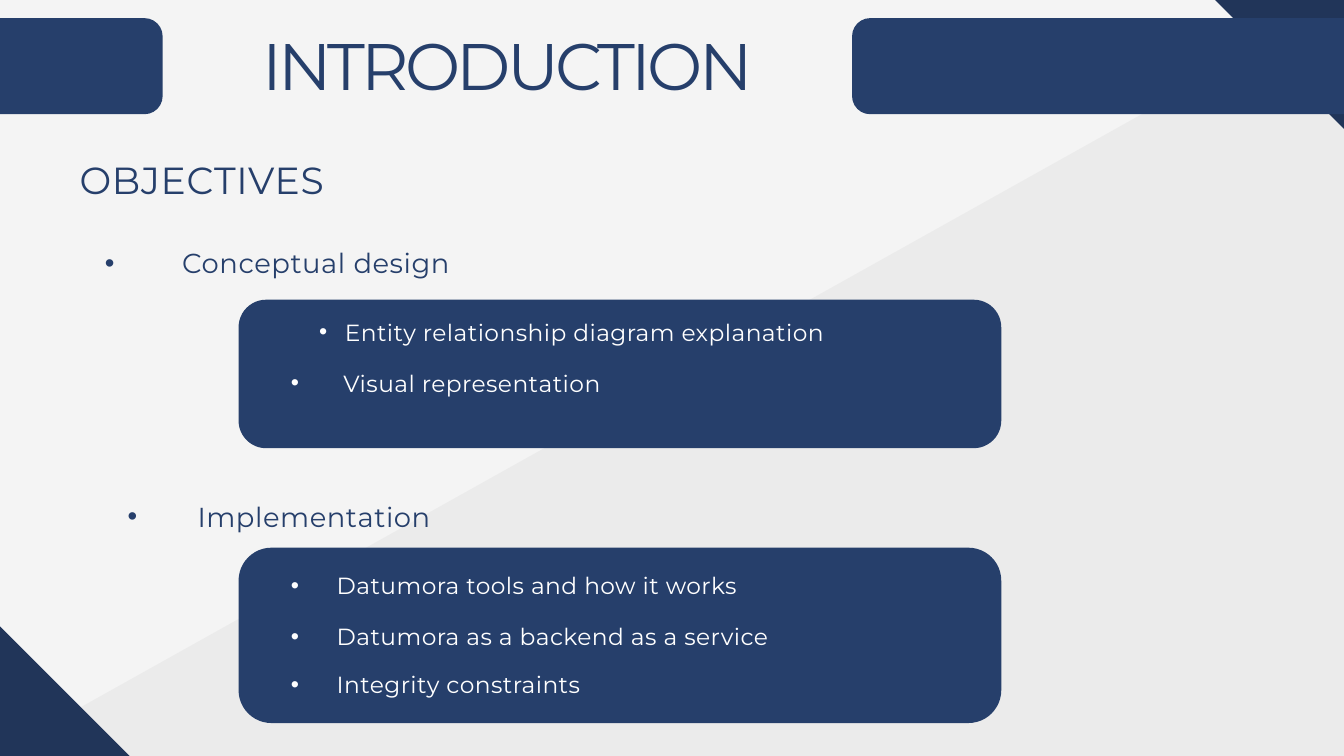
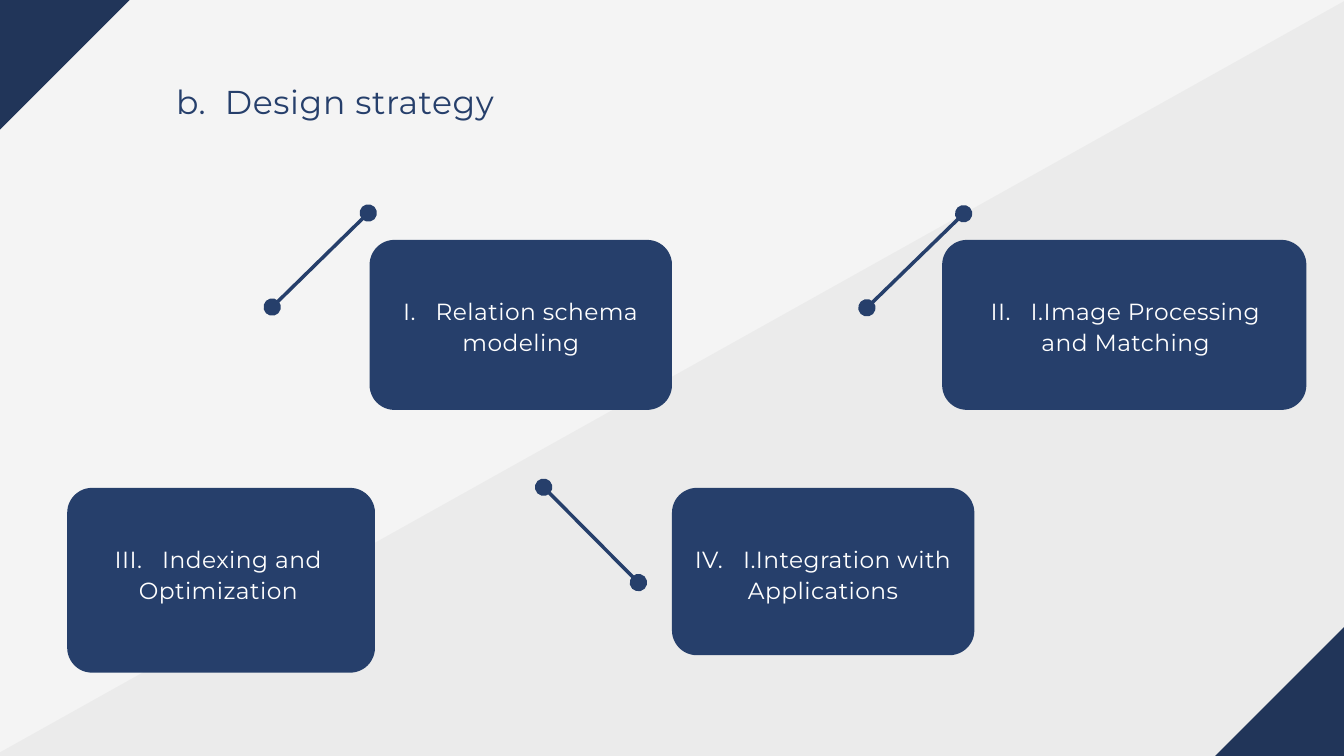
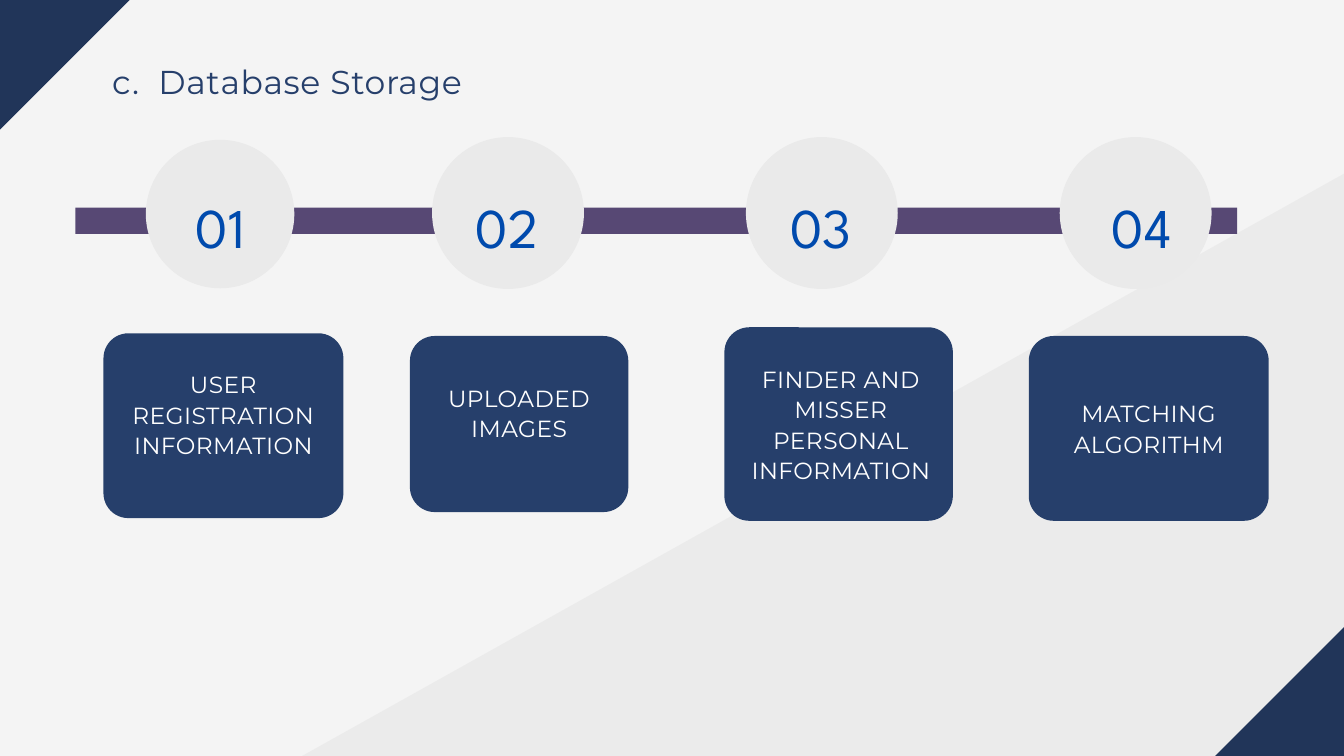
"""Build three slides on the design of a lost-and-found database."""
import pptx
import pptx.dml.color
import pptx.enum.shapes
import pptx.enum.text
import pptx.oxml
import pptx.oxml.ns
import pptx.util
from pptx.util import Inches

SHAPE = pptx.enum.shapes.MSO_SHAPE
ALIGN = pptx.enum.text.PP_ALIGN
CARD_RADIUS = 0.37
THEME = {
    "colors": {
        "paper": "F4F4F4", "shade": "545454", "corner": "213559", "navy": "263F6B",
        "white": "FFFFFF", "bar": "574874", "disc": "EAEAEA", "number": "004AAD",
    },
    "styles": {
        "title": {"size": 70.4, "font": "Montserrat", "color": "navy", "spc": -4.2, "line": 69},
        "subtitle": {"size": 40.4, "font": "Montserrat", "color": "navy", "spc": 0.8, "line": 76.8},
        "heading": {"size": 35.4, "font": "Montserrat", "color": "navy", "spc": 0.7, "line": 67.3, "gap": 10.7},
        "topic": {"size": 29.4, "font": "Montserrat", "color": "navy", "spc": 0.6, "line": 55.9},
        "item": {"size": 25, "font": "Montserrat", "color": "white", "spc": 0.5, "line": 35},
        "card": {"size": 25, "font": "Montserrat", "color": "white", "spc": 0.5, "line": 32.5, "gap": 14.5},
        "number": {"size": 60.1, "font": "League Spartan", "color": "number", "spc": 0, "line": 84.2},
    },
}


def rgb(name):
    return pptx.dml.color.RGBColor.from_string(THEME["colors"][name])


def add_xml(parent, tag, **attrs):
    el = pptx.oxml.parse_xml(f"<a:{tag} {pptx.oxml.ns.nsdecls('a')}/>")
    for key, value in attrs.items():
        el.set(key, value)
    parent.append(el)
    return el


def add_block(slide, kind, box, color, rotation=0):
    sp = slide.shapes.add_shape(kind, *map(Inches, box))
    sp.shadow.inherit = False
    sp.fill.solid()
    sp.fill.fore_color.rgb = rgb(color)
    sp.line.fill.background()
    sp.rotation = rotation
    return sp


def add_panel(slide, box, radius=CARD_RADIUS):
    sp = add_block(slide, SHAPE.ROUNDED_RECTANGLE, box, "navy")
    sp.adjustments[0] = radius / min(box[2:])


def add_text(slide, box, text, style, align=ALIGN.CENTER, label="", bullet=None):
    fmt = THEME["styles"][style]
    sp = slide.shapes.add_textbox(*map(Inches, box))
    tf = sp.text_frame
    frame = {"word_wrap": True, "margin_left": 0, "margin_right": 0, "margin_top": 0, "margin_bottom": 0}
    for key, value in frame.items():
        setattr(tf, key, value)
    p = tf.paragraphs[0]
    p.alignment = align
    p.line_spacing = pptx.util.Pt(fmt["line"])
    if bullet:
        bullet_x, text_x = bullet
        pPr = p._p.get_or_add_pPr()
        pPr.set("marL", str(Inches(text_x - box[0])))
        pPr.set("indent", str(Inches(bullet_x - text_x)))
        add_xml(pPr, "buFont", typeface="Arial")
        add_xml(pPr, "buChar", char="•")
    parts = [(text, fmt["spc"])]
    if label:
        parts = [(label, fmt["spc"]), (" ", fmt["gap"])] + parts
    for part, spacing in parts:
        r = p.add_run()
        r.text = part
        for key, value in {"name": fmt["font"], "size": pptx.util.Pt(fmt["size"])}.items():
            setattr(r.font, key, value)
        r.font.color.rgb = rgb(fmt["color"])
        r._r.get_or_add_rPr().set("spc", str(round(spacing * 100)))


def add_dumbbell(slide, start, end):
    cx = slide.shapes.add_connector(
        pptx.enum.shapes.MSO_CONNECTOR.STRAIGHT, *map(Inches, start + end))
    cx.line.color.rgb = rgb("navy")
    cx.line.width = pptx.util.Pt(3.75)
    ln = cx.line._get_or_add_ln()
    for tag in ("headEnd", "tailEnd"):
        add_xml(ln, tag, type="oval", w="lg", len="lg")
    add_xml(cx._element.spPr, "effectLst")


def add_corners(slide, rising):
    """Put a turned rectangle on two opposite corners of the slide."""
    tops = (9.89, -1.36) if rising else (-1.36, 9.89)
    for left, top in zip((-2.89, 17.11), tops):
        add_block(slide, SHAPE.RECTANGLE, (left, top, 5.79, 2.72), "corner", 45 if rising else 315)


def new_slide(prs, shade_at=(-1.22, 4.76)):
    slide = prs.slides.add_slide(prs.slide_layouts[6])
    slide.background.fill.solid()
    slide.background.fill.fore_color.rgb = rgb("paper")
    sp = add_block(slide, SHAPE.RECTANGLE, (*shade_at, 28.2, 10.48), "shade", 330.8)
    add_xml(sp.fill._xPr.solidFill[0], "alpha", val="5000")
    return slide


def build_introduction(prs):
    slide = new_slide(prs)
    add_corners(slide, rising=True)
    for left in (-6.61, 12.68):
        add_panel(slide, (left, 0.27, 9.03, 1.43), 0.27)
    add_panel(slide, (3.55, 4.46, 11.35, 2.21), 0.41)
    add_panel(slide, (3.55, 8.15, 11.35, 2.61), 0.49)
    add_text(slide, (3.01, 0.58, 9.08, 1), "INTRODUCTION", "title")
    add_text(slide, (0.31, 1.94, 5.39, 0.95), "OBJECTIVES", "subtitle")
    topics = [
        (3.38, "Conceptual design", (1.56, 2.71)),
        (7.15, "Implementation", (1.9, 2.94)),
    ]
    for top, text, bullet in topics:
        add_text(slide, (1.21, top, 7.01, 1.46), text, "topic", ALIGN.LEFT, bullet=bullet)
    items = [
        (4.66, "Entity relationship diagram explanation", (4.75, 5.13)),
        (5.42, "Visual representation", (4.33, 5.11)),
        (8.43, "Datumora tools and how it works", (4.33, 5.01)),
        (9.19, "Datumora as a backend as a service", (4.33, 5.01)),
        (9.91, "Integrity constraints", (4.33, 5.01)),
    ]
    for top, text, bullet in items:
        add_text(slide, (4.04, top, 8.65, 0.93), text, "item", ALIGN.LEFT, bullet=bullet)


def build_strategy(prs):
    slide = new_slide(prs)
    cards = [
        ((1, 7.26, 4.58, 2.75), 1, "III.", "Indexing and Optimization"),
        ((5.5, 3.57, 4.5, 2.53), 5.5, "I.", "Relation schema modeling"),
        ((14.02, 3.57, 5.42, 2.53), 14.5, "II.", "I.Image Processing and Matching"),
        ((10, 7.26, 4.5, 2.49), 10, "IV.", "I.Integration with Applications"),
    ]
    for box, text_left, label, text in cards:
        add_panel(slide, box)
        add_text(slide, (text_left, box[1] + 0.82, 4.5, 0.88), text, "card", label=label)
    add_dumbbell(slide, (4.05, 4.57), (5.48, 3.17))
    add_dumbbell(slide, (12.9, 4.58), (14.34, 3.18))
    add_dumbbell(slide, (9.5, 8.67), (8.09, 7.25))
    add_corners(slide, rising=False)
    add_text(slide, (2.62, 0.87, 10.81, 1.77), "Design strategy", "heading", ALIGN.LEFT, "b.")


def build_storage(prs):
    slide = new_slide(prs, (0.76, 6.22))
    add_corners(slide, rising=False)
    add_text(slide, (1.67, 0.57, 10.81, 0.84), "Database Storage", "heading", ALIGN.LEFT, "c.")
    add_block(slide, SHAPE.RECTANGLE, (1.12, 3.09, 17.29, 0.39), "bar")
    discs = [(2.17, 2.08, 2.21, 2.16), (6.43, 2.04, 2.26, 6.43),
             (11.1, 2.04, 2.26, 11.1), (15.77, 2.04, 2.26, 15.87)]
    for number, (left, top, size, text_left) in enumerate(discs, 1):
        add_block(slide, SHAPE.OVAL, (left, top, size, size), "disc")
        add_text(slide, (text_left, 2.7, 2.24, 1.12), f"{number:02}", "number")
    cards = [
        ((1.54, 4.96, 3.57, 2.75), (1.54, 5.48, 3.57, 1.78), "USER REGISTRATION INFORMATION"),
        ((6.1, 5, 3.25, 2.62), (6.28, 5.68, 2.89, 1.78), "UPLOADED IMAGES"),
        ((10.78, 4.87, 3.4, 2.88), (10.78, 5.4, 3.47, 2.23), "FINDER AND MISSER PERSONAL INFORMATION"),
        ((15.31, 5, 3.57, 2.75), (15.31, 5.91, 3.57, 1.33), "MATCHING ALGORITHM"),
    ]
    for box, text_box, text in cards:
        add_panel(slide, box)
        add_text(slide, text_box, text, "card")


def main():
    prs = pptx.Presentation()
    prs.slide_width, prs.slide_height = Inches(20), Inches(11.25)
    build_introduction(prs)
    build_strategy(prs)
    build_storage(prs)
    prs.save("out.pptx")


if __name__ == "__main__":
    main()
